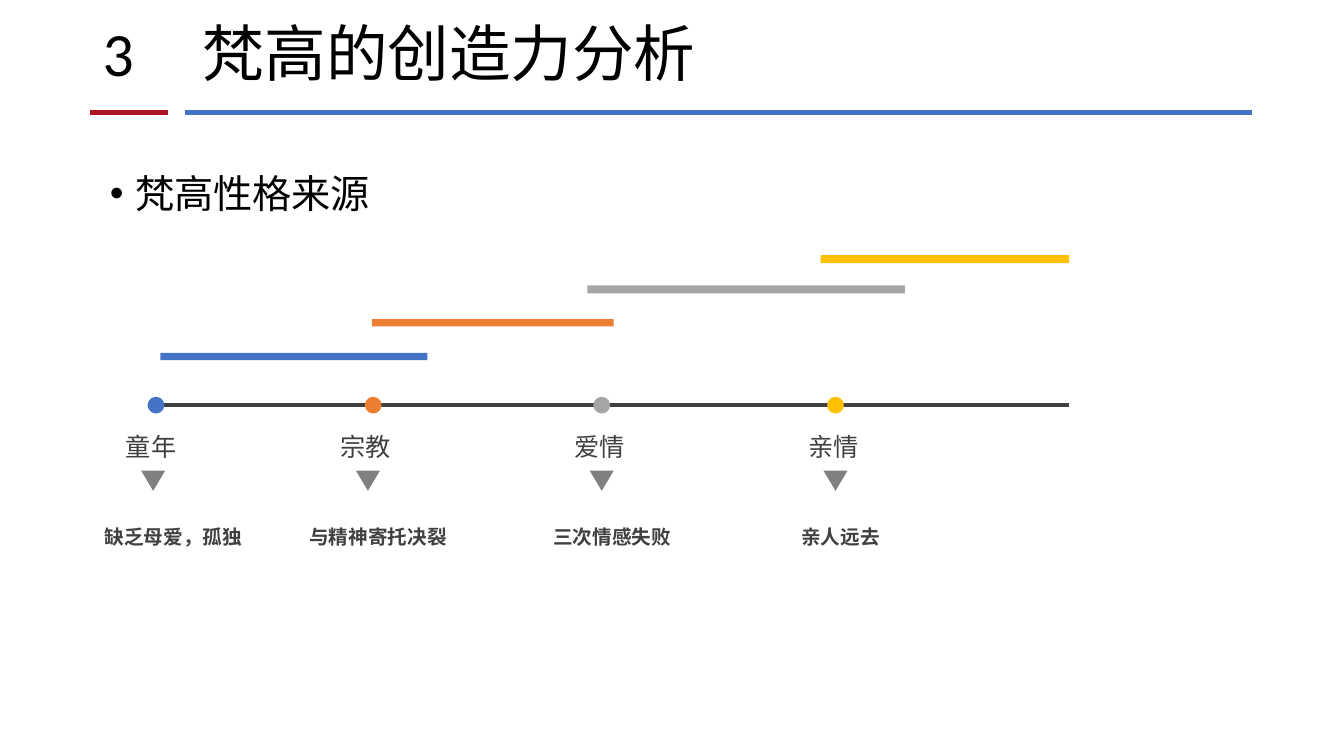
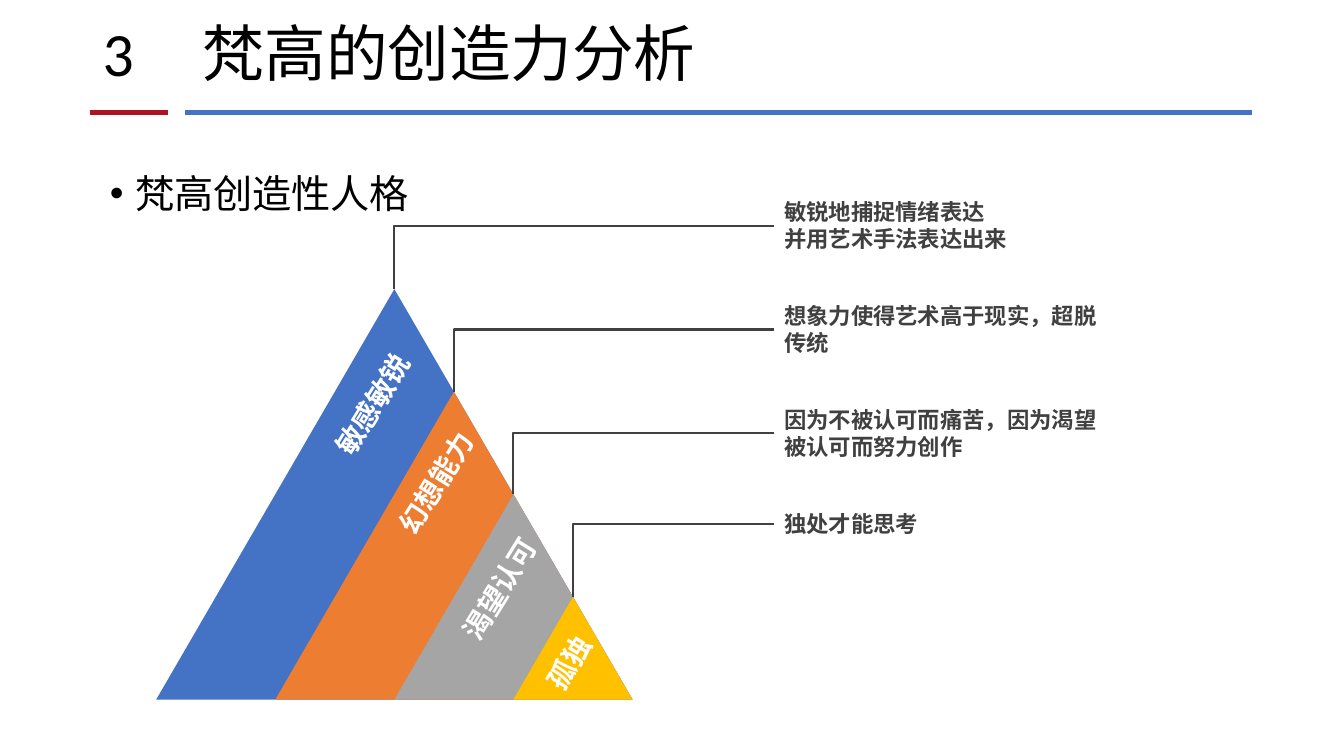
from dataclasses import dataclass

from lxml import etree
from pptx import Presentation
from pptx.dml.color import RGBColor
from pptx.enum import shapes, text
from pptx.oxml import ns
from pptx.util import Pt

NOTO = "Noto Sans CJK SC"
LATIN = "Calibri"
BLACK, WHITE, DARK, GREY = "000000", "FFFFFF", "404040", "808080"
RED, BLUE = "AE1324", "4472C4"
HUES = (BLUE, "ED7D31", "A5A5A5", "FFC000")
RULES = ((64, 120.2, RED), (132.5, 894.2, BLUE))
RULE_Y = 80.6
TAB = 71.5
KIND = shapes.MSO_SHAPE


@dataclass
class Box:
    x: float
    y: float
    w: float
    h: float

    def lens(self) -> tuple:
        return Pt(self.x), Pt(self.y), Pt(self.w), Pt(self.h)


@dataclass
class Type:
    size: float
    hue: str = DARK
    bold: bool = False
    face: str = NOTO
    lead: float = 1


@dataclass
class Stage:
    name: str
    note: str
    mid: float
    dot: float
    bar: Box
    left: float


@dataclass
class Trait:
    name: str
    note: str
    tag: Box
    high: float


TITLE = Type(44, BLACK, face=LATIN, lead=0.9)
BODY = Type(28, BLACK, face=LATIN, lead=1.25)
NAME = Type(18)
NOTE = Type(14, bold=True, face=LATIN, lead=1.5)
TAG = Type(20, WHITE, True)
CALL = Type(16, bold=True)

STAGES = (
    Stage("童年", "缺乏母爱，孤独", 109.4, 111.4, Box(114.5, 252, 190.8, 5.2), 67.7),
    Stage("宗教", "与精神寄托决裂", 262.8, 266.6, Box(265.6, 228, 172.8, 5.2), 213.8),
    Stage("爱情", "三次情感失败", 429.8, 429.8, Box(419.6, 203.8, 226.8, 5.8), 388.1),
    Stage("亲情", "亲人远去", 596.8, 596.8, Box(586.1, 182.2, 177.6, 5.8), 565.2),
)
TRAITS = (
    Trait("敏感敏锐", "敏锐地捕捉情绪表达\n并用艺术手法表达出来",
          Box(218.9, 272.9, 95, 31.5), 46),
    Trait("幻想能力", "想象力使得艺术高于现实，超脱传统",
          Box(264.2, 329, 95, 31.5), 46),
    Trait("渴望认可", "因为不被认可而痛苦，因为渴望被认可而努力创作",
          Box(309.6, 404.6, 95, 31.5), 46),
    Trait("孤独", "独处才能思考", Box(379.4, 457.2, 54.7, 31.5), 26.6),
)


def paint(hue: str) -> RGBColor:
    return RGBColor.from_string(hue)


def style(frame, look: Type) -> None:
    for para in frame.paragraphs:
        para.alignment = text.PP_ALIGN.LEFT
        para.line_spacing = look.lead
        para.space_before = Pt(0)
        for run in para.runs:
            font = run.font
            font.size = Pt(look.size)
            font.bold = look.bold
            font.color.rgb = paint(look.hue)
            font.name = look.face
            east = etree.SubElement(run._r.get_or_add_rPr(), ns.qn("a:ea"))
            east.set("typeface", NOTO)


def write(slide, words: str, box: Box, look: Type, wrap: bool = True, turn: float = 0) -> None:
    label = slide.shapes.add_textbox(*box.lens())
    frame = label.text_frame
    frame.text = words
    frame.word_wrap = wrap
    frame.auto_size = text.MSO_AUTO_SIZE.SHAPE_TO_FIT_TEXT
    label.rotation = turn
    style(frame, look)


def draw(slide, kind, box: Box, hue: str):
    form = slide.shapes.add_shape(kind, *box.lens())
    form.shadow.inherit = False
    form.fill.solid()
    form.fill.fore_color.rgb = paint(hue)
    form.line.fill.background()
    return form


def link(slide, start: tuple, end: tuple, hue: str, wide: float, bent: bool = False):
    kind = shapes.MSO_CONNECTOR.ELBOW if bent else shapes.MSO_CONNECTOR.STRAIGHT
    line = slide.shapes.add_connector(kind, *map(Pt, start + end))
    line.line.color.rgb = paint(hue)
    line.line.width = Pt(wide)
    props = line.element.spPr
    etree.SubElement(props, ns.qn("a:effectLst"))
    if bent:
        props.find(ns.qn("a:prstGeom")).set("prst", "bentConnector2")
    return line


def place(holder, box: Box) -> None:
    holder.left, holder.top, holder.width, holder.height = box.lens()


def base(deck):
    layout = deck.slide_layouts[1]
    place(layout.placeholders[0], Box(66.2, 10.1, 620.6, 60.5))
    place(layout.placeholders[1], Box(71.3, 108.7, 828, 342.7))
    return layout


def rule(slide, layout) -> None:
    for rank, (left, right, hue) in enumerate(RULES):
        line = link(slide, (left, RULE_Y), (right, RULE_Y), hue, 3.5)
        line.element[0][0].set("id", str(20 + rank))
        layout.shapes.element.append(line.element)


def start(deck, layout, point: str):
    slide = deck.slides.add_slide(layout)
    head, body = slide.shapes.title.text_frame, slide.placeholders[1].text_frame
    head.text = "3\t梵高的创造力分析"
    body.text = point
    head.vertical_anchor = text.MSO_ANCHOR.MIDDLE
    for frame in (head, body):
        frame.auto_size = text.MSO_AUTO_SIZE.NONE
    tabs = etree.SubElement(head.paragraphs[0]._p.get_or_add_pPr(), ns.qn("a:tabLst"))
    etree.SubElement(tabs, ns.qn("a:tab"), pos=str(Pt(TAB)), algn="l")
    props = body.paragraphs[0]._p.get_or_add_pPr()
    props.set("marL", str(Pt(18)))
    props.set("indent", str(Pt(-18)))
    mark = etree.SubElement(props, ns.qn("a:buChar"))
    mark.set("char", "•")
    style(head, TITLE)
    style(body, BODY)
    return slide


def source(slide) -> None:
    axis, dot = 289.4, 12
    link(slide, (111.6, axis), (763.4, axis), DARK, 3)
    for stage, hue in zip(STAGES, HUES):
        draw(slide, KIND.RECTANGLE, stage.bar, hue)
        spot = Box(stage.dot - dot / 2, axis - dot / 2, dot, dot)
        draw(slide, KIND.OVAL, spot, hue)
        write(slide, stage.name, Box(stage.mid - 26.6, 304.6, 51, 29), NAME, False)
        arrow = Box(stage.mid - 8.6, 336.2, 17.2, 14.4)
        draw(slide, KIND.FLOWCHART_MERGE, arrow, GREY)
        write(slide, stage.note, Box(stage.left, 362.9, 121.7, 30.2), NOTE)


def traits(slide) -> None:
    left, base_y, wide, high = 111.6, 499.7, 340.2, 293.2
    note_x, note_y, step = 553, 138.2, 74.2
    count = len(TRAITS)
    for rank, (trait, hue) in enumerate(zip(TRAITS, HUES)):
        part = 1 - rank / count
        peak = Box(left + wide * (1 - part), base_y - high * part, wide * part, high * part)
        draw(slide, KIND.ISOSCELES_TRIANGLE, peak, hue)
        note = Box(note_x, note_y + step * rank, 240.5, trait.high)
        write(slide, trait.note, note, CALL)
        tip = (peak.x + peak.w / 2, peak.y)
        link(slide, (note_x, note.y + note.h / 2), tip, DARK, 1.5, True)
    for trait in TRAITS:
        write(slide, trait.name, trait.tag, TAG, False, 301.8)


def main() -> None:
    deck = Presentation()
    deck.slide_width, deck.slide_height = Pt(960), Pt(540)
    layout = base(deck)
    first = start(deck, layout, "梵高性格来源")
    rule(first, layout)
    source(first)
    traits(start(deck, layout, "梵高创造性人格"))
    deck.save("out.pptx")


if __name__ == "__main__":
    main()
